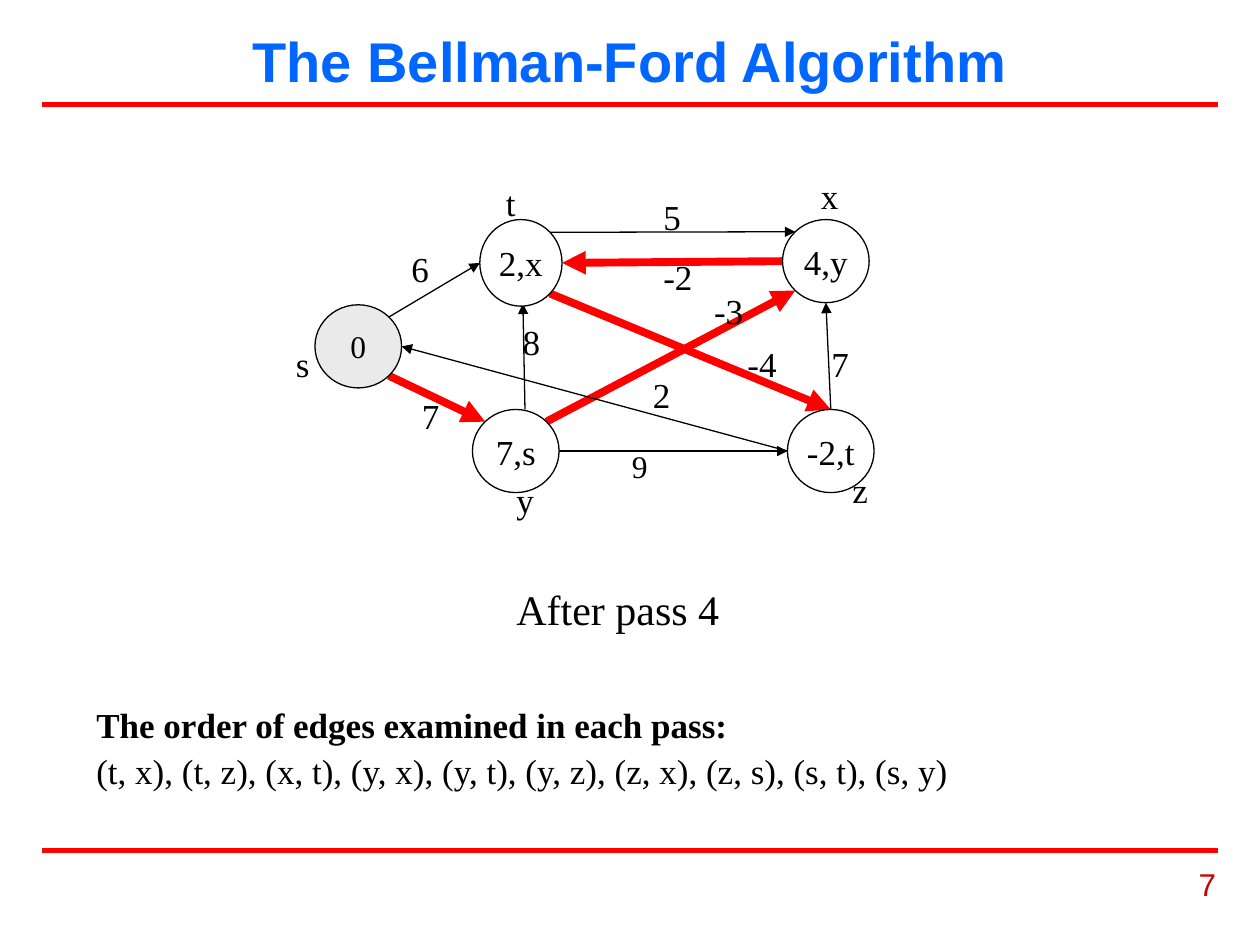
"""Build a slide showing the Bellman-Ford graph after its fourth pass."""
from lxml import etree
from pptx import Presentation
from pptx.dml.color import RGBColor
from pptx.enum.shapes import MSO_CONNECTOR, MSO_SHAPE
from pptx.enum.text import MSO_ANCHOR, MSO_AUTO_SIZE, PP_ALIGN
from pptx.oxml.ns import qn
from pptx.util import Pt

STRAIGHT = MSO_CONNECTOR.STRAIGHT
OVAL = MSO_SHAPE.OVAL
MIDDLE = MSO_ANCHOR.MIDDLE
FIT_SHAPE = MSO_AUTO_SIZE.SHAPE_TO_FIT_TEXT
LEFT, CENTER, RIGHT = PP_ALIGN.LEFT, PP_ALIGN.CENTER, PP_ALIGN.RIGHT
color = RGBColor.from_string
SERIF, SANS = "Times New Roman", "Arial"
BLACK, RED = "000000", "FF0000"

deck = Presentation()
deck.slide_width, deck.slide_height = Pt(720), Pt(540)
page = deck.slides.add_slide(deck.slide_layouts[6])


def draw_line(start, end, ink, width, arrow=True):
    points = [Pt(value) for value in (*start, *end)]
    connector = page.shapes.add_connector(STRAIGHT, *points)
    connector.line.color.rgb = color(ink)
    connector.line.width = Pt(width)
    properties = connector.element.spPr
    if arrow:
        outline = properties.find(qn("a:ln"))
        etree.SubElement(outline, qn("a:tailEnd"), type="triangle")
    etree.SubElement(properties, qn("a:effectLst"))


def write(shape, text, size, font=SERIF, ink=BLACK, bold=False, align=LEFT, wrap=False):
    shape.text_frame.word_wrap = wrap
    para = shape.text_frame.paragraphs[0]
    para.alignment = align
    span = para.add_run()
    span.text = text
    span.font.name, span.font.size, span.font.bold = font, Pt(size), bold
    span.font.color.rgb = color(ink)


for y in (59.8, 486):
    draw_line((24, y), (696, y), RED, 3, arrow=False)

title = page.shapes.add_textbox(Pt(36), Pt(12), Pt(648), Pt(45))
title.text_frame.vertical_anchor = MIDDLE
write(title, "The Bellman-Ford Algorithm", 32, SANS, "0066FF", True, CENTER, True)

number = page.shapes.add_textbox(Pt(534), Pt(490.5), Pt(168), Pt(37.5))
write(number, "7", 18, SANS, "CC0000", align=RIGHT, wrap=True)

nodes = {
    "s": (180, 174.2, 49.5, 47.5, "0", 18, "EAEAEA"),
    "t": (274.2, 125.5, 47, 49.5, "2,x", 20, "FFFFFF"),
    "x": (447.2, 125.5, 49.5, 47.5, "4,y", 20, "FFFFFF"),
    "y": (270, 234, 49.5, 47.5, "7,s", 20, "FFFFFF"),
    "z": (450, 234, 49.5, 47.5, "-2,t", 20, "FFFFFF"),
}
diagonal = 0.5 ** 0.5
directions = {
    "top": (0, -1), "bottom": (0, 1), "left": (-1, 0), "right": (1, 0),
    "top left": (-diagonal, -diagonal), "top right": (diagonal, -diagonal),
    "bottom left": (-diagonal, diagonal), "bottom right": (diagonal, diagonal),
}
rim = {
    (name, side): (left + width / 2 * (1 + dx), top + height / 2 * (1 + dy))
    for name, (left, top, width, height, *_) in nodes.items()
    for side, (dx, dy) in directions.items()
}

thin, thick = (BLACK, 0.75), (RED, 4.5)
edges = [
    ("t", "top right", "x", "top left", thin),
    ("y", "right", "z", "left", thin),
    ("y", "top right", "x", "bottom left", thick),
    ("s", "top right", "t", "left", thin),
    ("s", "bottom right", "y", "top left", thick),
    ("z", "top", "x", "bottom", thin),
    ("t", "bottom right", "z", "top", thick),
    ("z", "left", "s", "right", thin),
    ("x", "left", "t", "right", thick),
]
for source, source_side, target, target_side, style in edges:
    draw_line(rim[source, source_side], rim[target, target_side], *style)
draw_line((300, 234), (298.8, 173.5), *thin)

for left, top, width, height, text, size, fill in nodes.values():
    node = page.shapes.add_shape(OVAL, Pt(left), Pt(top), Pt(width), Pt(height))
    node.shadow.inherit = False
    node.fill.solid()
    node.fill.fore_color.rgb = color(fill)
    node.line.color.rgb = color(BLACK)
    node.line.width = Pt(0.75)
    node.text_frame.vertical_anchor = MIDDLE
    write(node, text, size, align=CENTER)

labels = [
    ("6", 228, 138, 24.5, 20), ("7", 234, 222, 24.5, 20), ("9", 354, 252, 23, 18),
    ("5", 372, 108, 24.5, 20), ("-3", 401, 162, 31, 20), ("8", 291.6, 179.5, 24.5, 20),
    ("7", 468, 192, 24.5, 20), ("-4", 420, 192, 31, 20), ("2", 366, 210, 24.5, 20),
    ("-2", 372, 142.5, 31, 20), ("s", 162, 192, 22.3, 20), ("y", 288, 270, 24.5, 20),
    ("z", 480, 264, 23, 20), ("x", 462, 96, 24.5, 20), ("t", 282, 100, 19.5, 20),
    ("After pass 4", 288, 330, 130.3, 24),
]
for text, left, top, width, size in labels:
    label = page.shapes.add_textbox(Pt(left), Pt(top), Pt(width), Pt(size * 1.2 + 7.2))
    label.text_frame.auto_size = FIT_SHAPE
    write(label, text, size)

order = page.shapes.add_textbox(Pt(48), Pt(396), Pt(587.5), Pt(60.5))
order.text_frame.auto_size = FIT_SHAPE
write(order, "The order of edges examined in each pass:", 20, bold=True, wrap=True)
order.text_frame.paragraphs[0].line_spacing = 1.1
order.text_frame.paragraphs[0].add_line_break()
write(order, "(t, x), (t, z), (x, t), (y, x), (y, t), (y, z), (z, x), (z, s), (s, t), (s, y)", 20, wrap=True)

deck.save("out.pptx")
